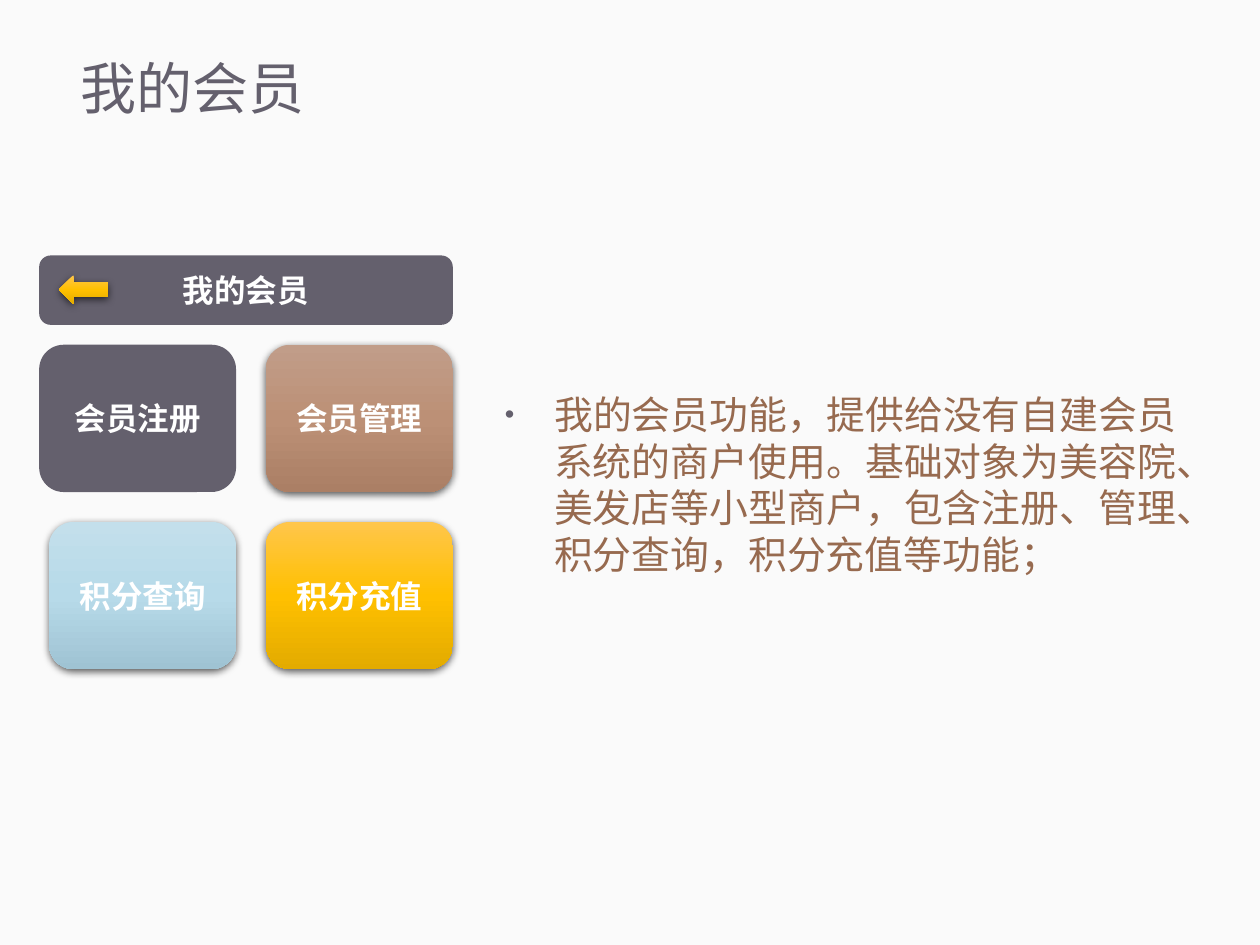
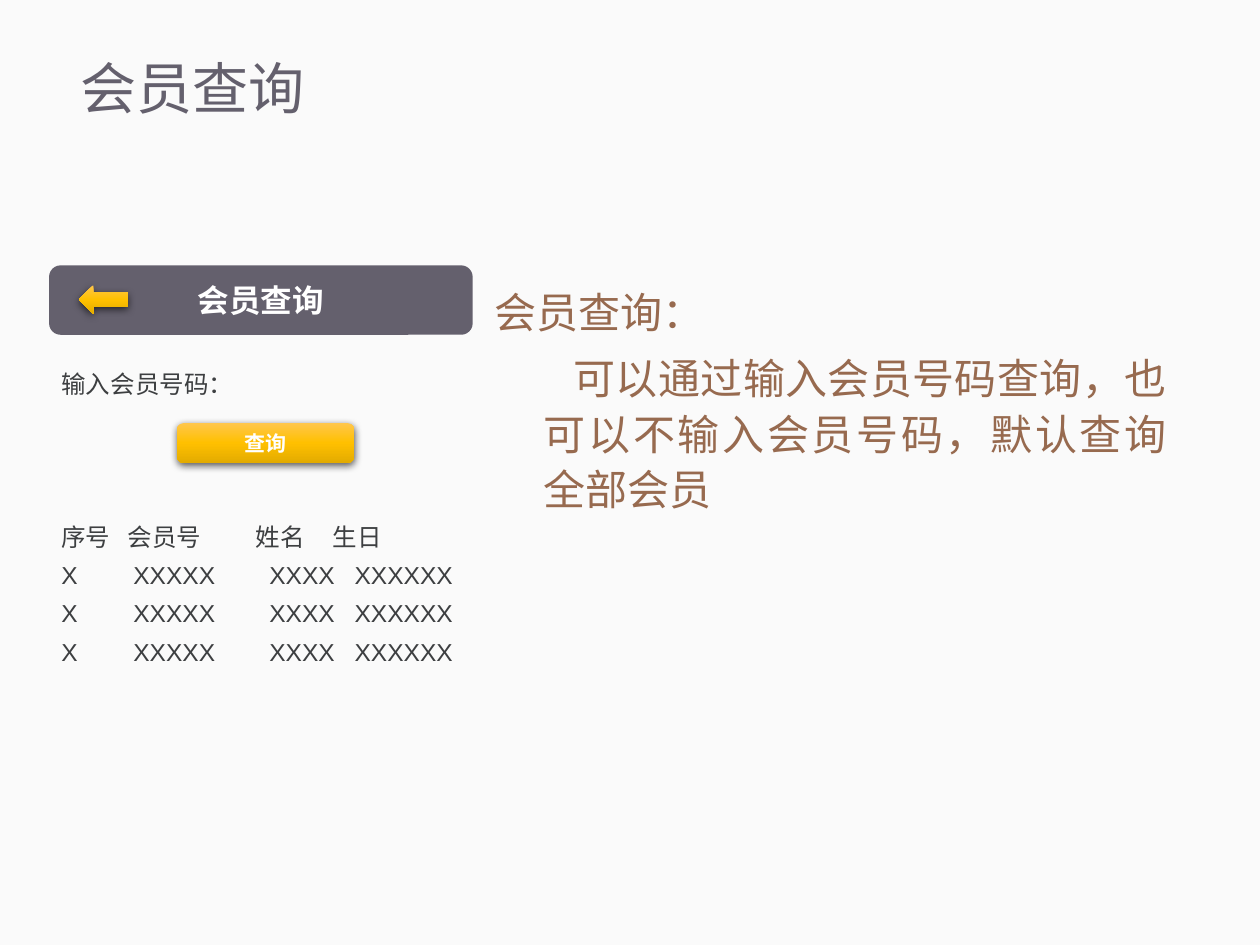
from dataclasses import dataclass
from typing import Any, Optional

from lxml.etree import SubElement
from pptx import Presentation
from pptx.dml.color import RGBColor
from pptx.enum.shapes import MSO_SHAPE
from pptx.enum.text import MSO_ANCHOR, PP_ALIGN
from pptx.oxml.ns import qn
from pptx.util import Cm, Pt

BACKDROP = RGBColor(0xF9, 0xF9, 0xF9)
WHITE = RGBColor(0xFF, 0xFF, 0xFF)
SLATE = RGBColor(0x64, 0x60, 0x6D)
BROWN = RGBColor(0x97, 0x6A, 0x4F)
CHARCOAL = RGBColor(0x3D, 0x3F, 0x41)
TAN_GRADIENT = (RGBColor(0xC1, 0x9D, 0x89), RGBColor(0xBC, 0x90, 0x76), RGBColor(0xAB, 0x7F, 0x65))
BLUE_GRADIENT = (RGBColor(0xC3, 0xDF, 0xEB), RGBColor(0xB7, 0xDA, 0xE9), RGBColor(0x9F, 0xC3, 0xD3))
GOLD_GRADIENT = (RGBColor(0xFF, 0xC6, 0x4B), RGBColor(0xFF, 0xC0, 0x00), RGBColor(0xE3, 0xAB, 0x00))

CHINESE_FONT = "Noto Sans CJK SC"
LATIN_FONT = "Arial"
SLIDE_WIDTH = 25.4
SLIDE_HEIGHT = 19.05
HANGING = 0.99

TITLE_FONT = {"size": Pt(32), "name": CHINESE_FONT}
BUTTON_FONT = {"size": Pt(18), "name": CHINESE_FONT, "bold": True}
SMALL_BUTTON_FONT = {**BUTTON_FONT, "size": Pt(12)}
NOTE_FONT = {"size": Pt(22.2), "name": CHINESE_FONT}
QUERY_NOTE_FONT = {"size": Pt(24), "name": CHINESE_FONT}
SCREEN_FONT = {"size": Pt(14), "name": LATIN_FONT}

NOTE_FORMAT = {"alignment": PP_ALIGN.JUSTIFY, "line_spacing": 1.0, "space_before": Pt(6)}
QUERY_NOTE_FORMAT = {**NOTE_FORMAT, "line_spacing": 1.1}
SCREEN_FORMAT = {"line_spacing": 1.3}


@dataclass(frozen=True)
class Box:
    left: float
    top: float
    width: float
    height: float

    def lengths(self) -> tuple:
        return Cm(self.left), Cm(self.top), Cm(self.width), Cm(self.height)


@dataclass(frozen=True)
class Block:
    box: Box
    text: str = ""
    gradient: Optional[tuple] = None
    preset: Any = MSO_SHAPE.ROUNDED_RECTANGLE
    font: Any = None
    color: RGBColor = SLATE
    opacity: int = 100


@dataclass(frozen=True)
class Line:
    text: str
    margin: float = 0
    indent: float = 0
    bullet: bool = False
    tabs: tuple = ()
    space_before: Optional[float] = None


def apply_format(target: Any, values: dict) -> None:
    for name, value in values.items():
        setattr(target, name, value)


def add_run(paragraph: Any, text: str, font: dict, color: RGBColor) -> None:
    run = paragraph.add_run()
    run.text = text
    apply_format(run.font, font)
    run.font.color.rgb = color
    SubElement(run.font._element, qn("a:ea"), typeface=CHINESE_FONT)


def set_layout(paragraph: Any, line: Line) -> None:
    properties = paragraph._p.get_or_add_pPr()
    if line.margin:
        properties.set("marL", str(Cm(line.margin)))
        properties.set("indent", str(Cm(line.indent)))
    if line.bullet:
        color = SubElement(properties, qn("a:buClr"))
        SubElement(color, qn("a:srgbClr"), val=str(SLATE))
        SubElement(properties, qn("a:buSzPct"), val="70000")
        SubElement(properties, qn("a:buFont"), typeface=LATIN_FONT)
        SubElement(properties, qn("a:buChar"), char="•")
    if line.tabs:
        stops = SubElement(properties, qn("a:tabLst"))
        for position in line.tabs:
            SubElement(stops, qn("a:tab"), pos=str(Cm(position)), algn="l")


def add_text(slide: Any, box: Box, lines: list, font: dict, color: RGBColor,
             paragraph_format: dict, anchor: Any = MSO_ANCHOR.TOP) -> None:
    frame = slide.shapes.add_textbox(*box.lengths()).text_frame
    apply_format(frame, {"word_wrap": True, "vertical_anchor": anchor})
    for index, line in enumerate(lines):
        paragraph = frame.add_paragraph() if index else frame.paragraphs[0]
        apply_format(paragraph, paragraph_format)
        if line.space_before is not None:
            paragraph.space_before = Pt(line.space_before)
        set_layout(paragraph, line)
        add_run(paragraph, line.text, font, color)


def apply_gradient(shape: Any, colors: tuple) -> None:
    shape.fill.gradient()
    shape.fill.gradient_angle = 270
    stops = shape._element.spPr.find(qn("a:gradFill")).find(qn("a:gsLst"))
    for stop in list(stops):
        stops.remove(stop)
    for index, color in enumerate(colors):
        stop = SubElement(stops, qn("a:gs"), pos=str(index * 50000))
        SubElement(stop, qn("a:srgbClr"), val=str(color))


def apply_solid(shape: Any, color: RGBColor, opacity: int) -> None:
    shape.fill.solid()
    shape.fill.fore_color.rgb = color
    if opacity < 100:
        fill_color = shape._element.spPr.find(qn("a:solidFill")).find(qn("a:srgbClr"))
        SubElement(fill_color, qn("a:alpha"), val=str(opacity * 1000))


def add_shadow(shape: Any) -> None:
    effects = shape._element.spPr.find(qn("a:effectLst"))
    shadow = SubElement(effects, qn("a:outerShdw"), blurRad=str(Pt(4.5)),
                        dist=str(Pt(1.5)), dir="5400000", rotWithShape="0")
    color = SubElement(shadow, qn("a:srgbClr"), val="000000")
    SubElement(color, qn("a:alpha"), val="63000")


def add_block(slide: Any, block: Block) -> None:
    shape = slide.shapes.add_shape(block.preset, *block.box.lengths())
    shape.shadow.inherit = False
    shape.line.fill.background()
    if block.gradient:
        apply_gradient(shape, block.gradient)
        add_shadow(shape)
    else:
        apply_solid(shape, block.color, block.opacity)
    if block.text:
        frame = shape.text_frame
        apply_format(frame, {"word_wrap": True, "vertical_anchor": MSO_ANCHOR.MIDDLE})
        paragraph = frame.paragraphs[0]
        paragraph.alignment = PP_ALIGN.CENTER
        add_run(paragraph, block.text, block.font or BUTTON_FONT, WHITE)


def add_screen_header(slide: Any, text: str, box: Box, arrow_left: float) -> None:
    add_block(slide, Block(box, text))
    arrow = Box(arrow_left, box.top + 0.4, 0.99, 0.58)
    add_block(slide, Block(arrow, gradient=GOLD_GRADIENT, preset=MSO_SHAPE.LEFT_ARROW))


def start_slide(presentation: Any, title: str) -> Any:
    slide = presentation.slides.add_slide(presentation.slide_layouts[6])
    add_block(slide, Block(Box(0, 0, SLIDE_WIDTH, SLIDE_HEIGHT), preset=MSO_SHAPE.RECTANGLE,
                           color=BACKDROP, opacity=80))
    add_text(slide, Box(1.37, 0.54, 22.81, 2.59), [Line(title)], TITLE_FONT, SLATE,
             {"line_spacing": 0.9}, MSO_ANCHOR.MIDDLE)
    return slide


def build_members(presentation: Any) -> None:
    slide = start_slide(presentation, "我的会员")
    note = ("我的会员功能，提供给没有自建会员系统的商户使用。基础对象为美容院、"
            "美发店等小型商户，包含注册、管理、积分查询，积分充值等功能；")
    add_text(slide, Box(9.93, 7.75, 14.05, 4.06), [Line(note, HANGING, -HANGING, bullet=True)],
             NOTE_FONT, BROWN, NOTE_FORMAT)
    tiles = (("会员注册", None), ("会员管理", TAN_GRADIENT),
             ("积分查询", BLUE_GRADIENT), ("积分充值", GOLD_GRADIENT))
    for index, (text, gradient) in enumerate(tiles):
        row, column = divmod(index, 2)
        overhang = 0 if gradient else 0.2
        box = Box(0.99 + column * 4.37 - overhang, 6.95 + row * 3.57, 3.77 + overhang, 2.97)
        add_block(slide, Block(box, text, gradient))
    add_screen_header(slide, "我的会员", Box(0.79, 5.15, 8.34, 1.4), 1.19)


def build_query(presentation: Any) -> None:
    slide = start_slide(presentation, "会员查询")
    notes = [Line("会员查询：", HANGING, -HANGING),
             Line("可以通过输入会员号码查询，也可以不输入会员号码，默认查询全部会员", HANGING, 0.6)]
    add_text(slide, Box(9.72, 5.56, 14.05, 7.14), notes, QUERY_NOTE_FONT, BROWN, QUERY_NOTE_FORMAT)
    add_screen_header(slide, "会员查询", Box(0.99, 5.35, 8.54, 1.4), 1.59)
    record = Line("X\tXXXXX\tXXXX\tXXXXXX", tabs=(1.45, 4.19, 5.91))
    lines = [Line("输入会员号码："),
             Line("序号\t会员号\t姓名\t生日", tabs=(1.34, 3.92, 5.47), space_before=65.5),
             *[record] * 3]
    add_text(slide, Box(0.99, 7.14, 8.53, 6.48), lines, SCREEN_FONT, CHARCOAL, SCREEN_FORMAT)
    add_block(slide, Block(Box(3.57, 8.53, 3.57, 0.8), "查询", GOLD_GRADIENT,
                           font=SMALL_BUTTON_FONT))


def main() -> None:
    presentation = Presentation()
    presentation.slide_width = Cm(SLIDE_WIDTH)
    presentation.slide_height = Cm(SLIDE_HEIGHT)
    build_members(presentation)
    build_query(presentation)
    presentation.save("out.pptx")


if __name__ == "__main__":
    main()
